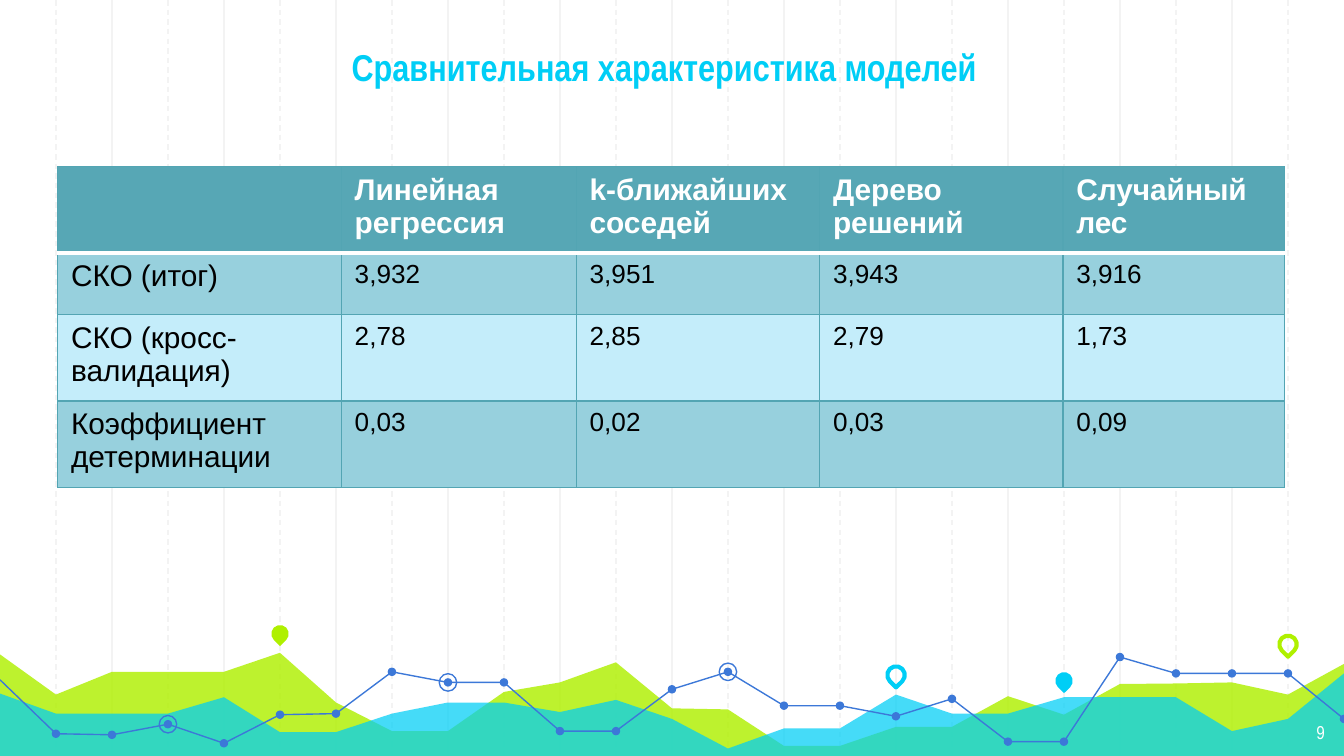
from lxml import etree
from pptx import Presentation
from pptx import util as u
from pptx.dml.color import RGBColor
from pptx.enum import dml, shapes, text
from pptx.oxml.ns import qn

Cm, Pt = u.Cm, u.Pt
WIDTH, HEIGHT = 25.4, 14.29
STEP = WIDTH / 24  # distance between neighbouring grid columns
GREEN, CYAN, BLUE, TEAL = "AFF000", "00CEF6", "3C78D8", "53A5B3"

# Heights in cm, one per grid column
GREEN_AREA = [12.37, 13.13, 12.7, 12.7, 12.7, 12.34, 13.28, 13.82, 13.82, 13.08,
              12.9, 12.52, 13.39, 13.41, 14.1, 14.1, 13.74, 13.74, 13.16, 13.51,
              12.93, 12.92, 12.9, 13.13, 12.55]
CYAN_AREA = [13.11, 13.49, 13.49, 13.49, 13.18, 13.84, 13.84, 13.49, 13.28, 13.28,
             13.46, 13.23, 13.59, 14.15, 13.77, 13.77, 13.13, 13.49, 13.49, 13.18,
             13.18, 13.18, 13.82, 13.59, 12.73]
TREND = [12.85, 13.87, 13.89, 13.69, 14.05, 13.51, 13.49, 12.7, 12.9, 12.9,
         13.82, 13.82, 13.03, 12.7, 13.34, 13.34, 13.54, 13.21, 14.02, 14.02,
         12.42, 12.73, 12.73, 12.73, 13.59]
RINGED = [3, 8, 13]
PINS = [(5, 11.98, GREEN, True), (16, 12.76, CYAN, False),
        (19, 12.87, CYAN, True), (23, 12.18, GREEN, False)]

ROWS = [
    ["", "Линейная регрессия", "k-ближайших соседей", "Дерево решений", "Случайный лес"],
    ["СКО (итог)", "3,932", "3,951", "3,943", "3,916"],
    ["СКО (кросс-валидация)", "2,78", "2,85", "2,79", "1,73"],
    ["Коэффициент детерминации", "0,03", "0,02", "0,03", "0,09"],
]
COL_WIDTHS = [5.36, 4.44, 4.6, 4.6, 4.19]
ROW_HEIGHTS = [1.63, 1.17, 1.63, 1.63]
ROW_FILLS = ["57A7B5", "97D0DD", "C4EDFA", "97D0DD"]


def rgb(color):
    return RGBColor.from_string(color)


def paint(sp, fill=None, line=None, width=0.75, alpha=None):
    sp.shadow.inherit = False
    if fill:
        sp.fill.solid()
        sp.fill.fore_color.rgb = rgb(fill)
        if alpha:
            clr = sp.fill._xPr.find(qn("a:solidFill"))[0]
            etree.SubElement(clr, qn("a:alpha"), val=str(alpha * 1000))
    else:
        sp.fill.background()
    if line:
        sp.line.color.rgb = rgb(line)
        sp.line.width = Pt(width)
    else:
        sp.line.fill.background()


def write(tf, words, align=None, **font):
    p = tf.paragraphs[0]
    p.alignment = align
    r = p.add_run()
    r.text = words
    r.font.color.rgb = rgb(font.pop("color"))
    for key, value in font.items():
        setattr(r.font, key, value)


def add_text(s, box, words, anchor, align, **font):
    tf = s.shapes.add_textbox(*map(Cm, box)).text_frame
    tf.word_wrap = True
    tf.vertical_anchor = anchor
    for side in ("left", "right", "top", "bottom"):
        setattr(tf, f"margin_{side}", Cm(0.25))
    write(tf, words, align, **font)


def add_grid_line(s, col):
    x = Cm(col * STEP)
    sp = s.shapes.add_connector(shapes.MSO_CONNECTOR.STRAIGHT, x, 0, x, Cm(14.35))
    sp.line.color.rgb = rgb("F3F3F3")
    sp.line.width = Pt(0.75)
    if col % 2:
        sp.line.dash_style = dml.MSO_LINE.DASH
    etree.SubElement(sp._element.spPr, qn("a:effectLst"))


def add_path(s, heights, closed=False, **look):
    points = [(Cm(i * STEP), Cm(y)) for i, y in enumerate(heights)]
    if closed:
        points += [(Cm(WIDTH), Cm(14.35)), (0, Cm(14.35))]
    path = s.shapes.build_freeform(*points[0], scale=1.0)
    path.add_line_segments(points[1:], close=closed)
    paint(path.convert_to_shape(), **look)


def add_mark(s, kind, col, y, size, **look):
    """Place a small shape centred on a grid column."""
    sp = s.shapes.add_shape(kind, Cm(col * STEP - size / 2), Cm(y - size / 2),
                            Cm(size), Cm(size))
    paint(sp, **look)
    return sp


def set_borders(cell, **sides):
    tcPr = cell._tc.get_or_add_tcPr()
    for side in "LRTB":
        color, width = sides.get(side, (TEAL, 0.75))
        ln = etree.SubElement(tcPr, qn(f"a:ln{side}"), w=str(Pt(width)))
        fill = etree.SubElement(ln, qn("a:solidFill"))
        etree.SubElement(fill, qn("a:srgbClr"), val=color)


def add_model_table(s):
    frame = s.shapes.add_table(len(ROWS), len(COL_WIDTHS), Cm(1.09), Cm(3.15),
                               Cm(sum(COL_WIDTHS)), Cm(sum(ROW_HEIGHTS)))
    table = frame.table
    for column, width in zip(table.columns, COL_WIDTHS):
        column.width = Cm(width)
    for i, row in enumerate(ROWS):
        table.rows[i].height = Cm(ROW_HEIGHTS[i])
        divider = {0: {"B": ("FFFFFF", 2)}, 1: {"T": ("FFFFFF", 2)}}.get(i, {})
        for j, words in enumerate(row):
            cell = table.cell(i, j)
            set_borders(cell, **divider)
            cell.fill.solid()
            cell.fill.fore_color.rgb = rgb(ROW_FILLS[i])
            if words:
                write(cell.text_frame, words, name="Arial", bold=i == 0,
                      size=Pt(14 if i and j else 16),
                      color="000000" if i else "FFFFFF")


def main():
    prs = Presentation()
    prs.slide_width, prs.slide_height = Cm(WIDTH), Cm(HEIGHT)
    s = prs.slides.add_slide(prs.slide_layouts[6])

    # Background grid: solid lines on even columns, dashed on odd ones
    for col in [*range(2, 24, 2), *range(1, 24, 2)]:
        add_grid_line(s, col)

    # Decorative areas and trend line
    add_path(s, GREEN_AREA, closed=True, fill=GREEN, alpha=82)
    add_path(s, CYAN_AREA, closed=True, fill=CYAN, alpha=73)
    add_path(s, TREND, line=BLUE)
    oval = shapes.MSO_SHAPE.OVAL
    for col, y in list(enumerate(TREND))[1:]:
        add_mark(s, oval, col, y, 0.16, fill=BLUE)
    for col in RINGED:
        add_mark(s, oval, col, TREND[col], 0.33, line=BLUE)

    # Map pins, filled or outlined
    for col, y, color, filled in PINS:
        look = {"fill": color} if filled else {"line": color, "width": 2.25}
        pin = add_mark(s, shapes.MSO_SHAPE.TEAR, col, y, 0.33, **look)
        pin.rotation = 135

    # Title, slide number and table
    add_text(s, (2.92, -0.05, 19.43, 1.98), "Сравнительная характеристика моделей ",
             text.MSO_ANCHOR.BOTTOM, text.PP_ALIGN.CENTER,
             name="Arial Narrow", size=Pt(20), bold=True, color=CYAN)
    add_text(s, (23.77, 13.41, 1.52, 0.89), "9",
             text.MSO_ANCHOR.TOP, text.PP_ALIGN.RIGHT,
             name="Arial Narrow", size=Pt(10), color="FFFFFF")
    add_model_table(s)

    prs.save("out.pptx")


if __name__ == "__main__":
    main()
